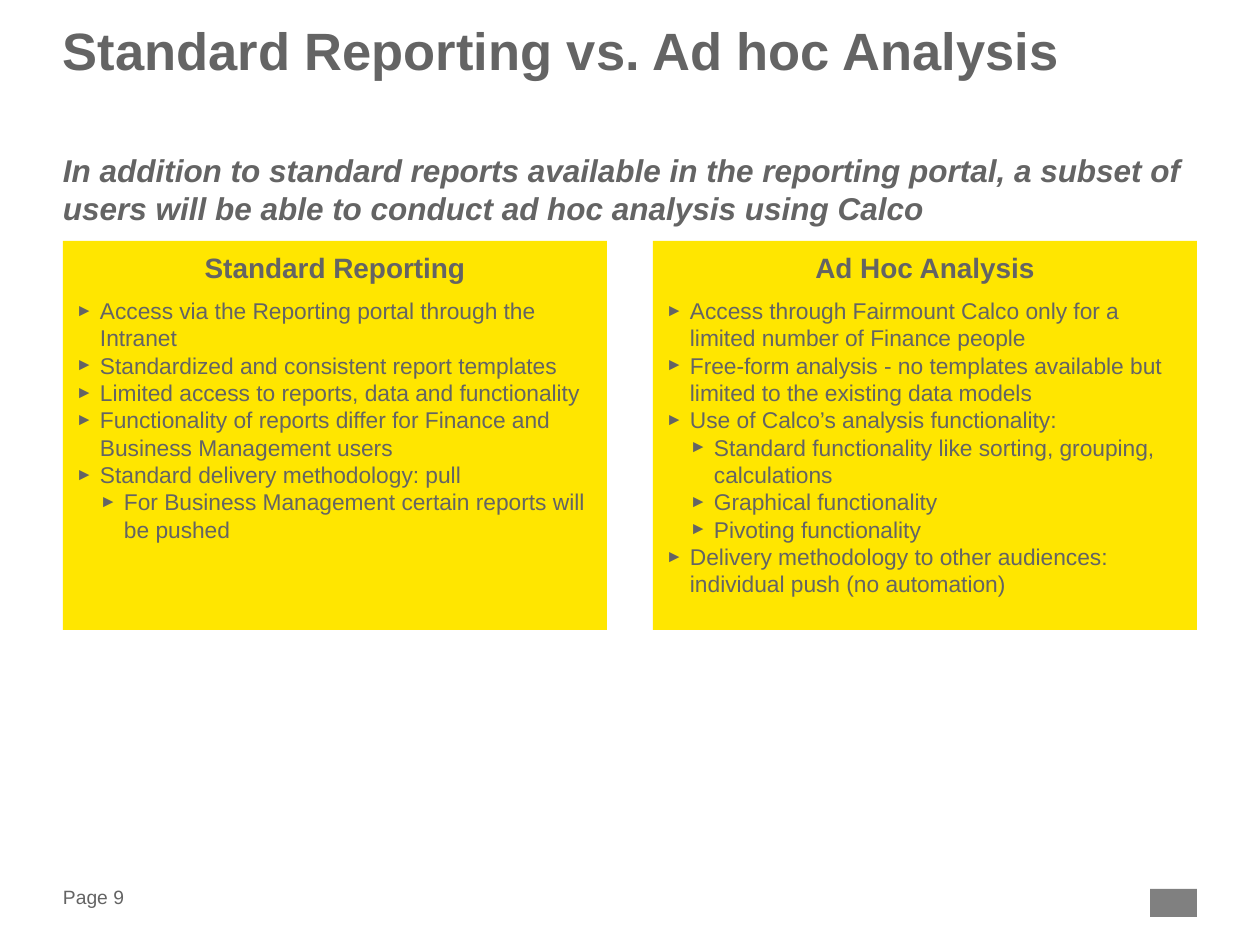
from lxml import etree
from pptx import Presentation
from pptx.dml.color import RGBColor
from pptx.enum.shapes import MSO_SHAPE
from pptx.enum.text import MSO_ANCHOR, PP_ALIGN
from pptx.oxml.ns import qn
from pptx.util import Pt

EMU_PER_PX = 914400 / 126
GREY = RGBColor(0x64, 0x64, 0x64)
MARK_GREY = RGBColor(0x80, 0x80, 0x80)
YELLOW = RGBColor(0xFF, 0xE6, 0x00)
FONT = "Arial"
RECTANGLE = MSO_SHAPE.RECTANGLE
TOP, MIDDLE = MSO_ANCHOR.TOP, MSO_ANCHOR.MIDDLE
LEFT, CENTER = PP_ALIGN.LEFT, PP_ALIGN.CENTER

MARGIN = 63
CONTENT_WIDTH = 1134
PANEL_TOP, PANEL_WIDTH, PANEL_HEIGHT = 241, 544, 389
PANEL_STEP = CONTENT_WIDTH - PANEL_WIDTH
BULLET_INDENT = 24

# Each panel: heading, then (level, text) for its bullets.
PANELS = [
    ("Standard Reporting", [
        (0, "Access via the Reporting portal through the Intranet"),
        (0, "Standardized and consistent report templates"),
        (0, "Limited access to reports, data and functionality"),
        (0, "Functionality of reports differ for Finance and Business Management users"),
        (0, "Standard delivery methodology: pull"),
        (1, "For Business Management certain reports will be pushed"),
    ]),
    ("Ad Hoc Analysis", [
        (0, "Access through Fairmount Calco only for a limited number of Finance people"),
        (0, "Free-form analysis - no templates available but limited to the existing data models"),
        (0, "Use of Calco’s analysis functionality:"),
        (1, "Standard functionality like sorting, grouping, calculations"),
        (1, "Graphical functionality"),
        (1, "Pivoting functionality"),
        (0, "Delivery methodology to other audiences: individual push (no automation)"),
    ]),
]


def px(length):
    return round(length * EMU_PER_PX)


class SlideBuilder:
    def __init__(self, slide):
        self.slide = slide

    def style(self, paragraph, size, bold=False, italic=False):
        for run in paragraph.runs:
            run.font.name = FONT
            run.font.size = Pt(size)
            run.font.bold = bold
            run.font.italic = italic
            run.font.color.rgb = GREY

    def frame(self, shape, insets, anchor):
        frame = shape.text_frame
        frame.word_wrap = True
        frame.vertical_anchor = anchor
        (frame.margin_left, frame.margin_top,
         frame.margin_right, frame.margin_bottom) = map(px, insets)
        return frame

    def text(self, box, words, size, anchor=TOP, spacing=1.0, **emphasis):
        shape = self.slide.shapes.add_textbox(*map(px, box))
        frame = self.frame(shape, (0, 0, 0, 0), anchor)
        frame.text = words
        paragraph = frame.paragraphs[0]
        paragraph.line_spacing = spacing
        self.style(paragraph, size, **emphasis)

    def block(self, box, color):
        shape = self.slide.shapes.add_shape(RECTANGLE, *map(px, box))
        shape.shadow.inherit = False
        shape.fill.solid()
        shape.fill.fore_color.rgb = color
        shape.line.fill.background()
        return shape

    def bullet(self, paragraph, level):
        properties = paragraph._p.get_or_add_pPr()
        properties.set("marL", str(px(BULLET_INDENT * (level + 1))))
        properties.set("indent", str(-px(BULLET_INDENT)))
        color = etree.SubElement(properties, qn("a:buClr"))
        etree.SubElement(color, qn("a:srgbClr"), val=str(GREY))
        etree.SubElement(properties, qn("a:buSzPct"), val="75000")
        etree.SubElement(properties, qn("a:buFont"), typeface=FONT)
        etree.SubElement(properties, qn("a:buChar"), char="►")

    def panel(self, box, heading, bullets):
        frame = self.frame(self.block(box, YELLOW), (13, 10, 13, 6), TOP)
        frame.text = heading
        title = frame.paragraphs[0]
        title.alignment = CENTER
        title.space_after = Pt(7)
        self.style(title, 16, bold=True)
        for level, words in bullets:
            paragraph = frame.add_paragraph()
            paragraph.text = words
            paragraph.level = level
            paragraph.alignment = LEFT
            self.bullet(paragraph, level)
            self.style(paragraph, 13)


def main():
    presentation = Presentation()
    presentation.slide_width, presentation.slide_height = px(1260), px(945)
    builder = SlideBuilder(presentation.slides.add_slide(presentation.slide_layouts[6]))

    builder.text((MARGIN, 883, 100, 28), "Page 9", 11, anchor=MIDDLE)
    builder.block((1150, 889, 47, 28), MARK_GREY)
    builder.text((MARGIN, 28, CONTENT_WIDTH, 118),
                 "Standard Reporting vs. Ad hoc Analysis", 30, spacing=0.85, bold=True)
    for column, (heading, bullets) in enumerate(PANELS):
        left = MARGIN + column * PANEL_STEP
        builder.panel((left, PANEL_TOP, PANEL_WIDTH, PANEL_HEIGHT), heading, bullets)
    builder.text((MARGIN, 151, CONTENT_WIDTH, 73),
                 "In addition to standard reports available in the reporting portal, a subset of "
                 "users will be able to conduct ad hoc analysis using Calco",
                 18, bold=True, italic=True)

    presentation.save("out.pptx")


if __name__ == "__main__":
    main()
